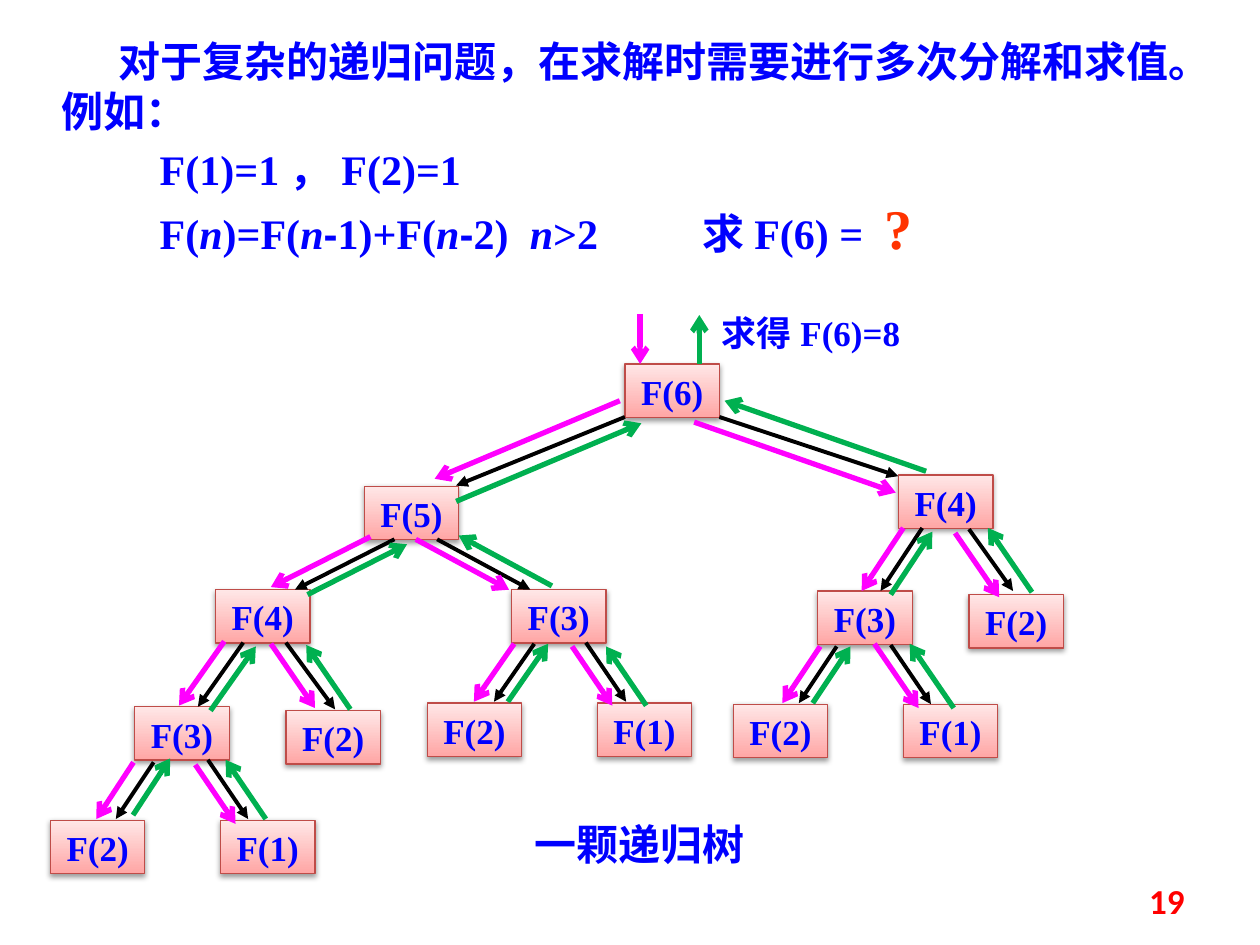
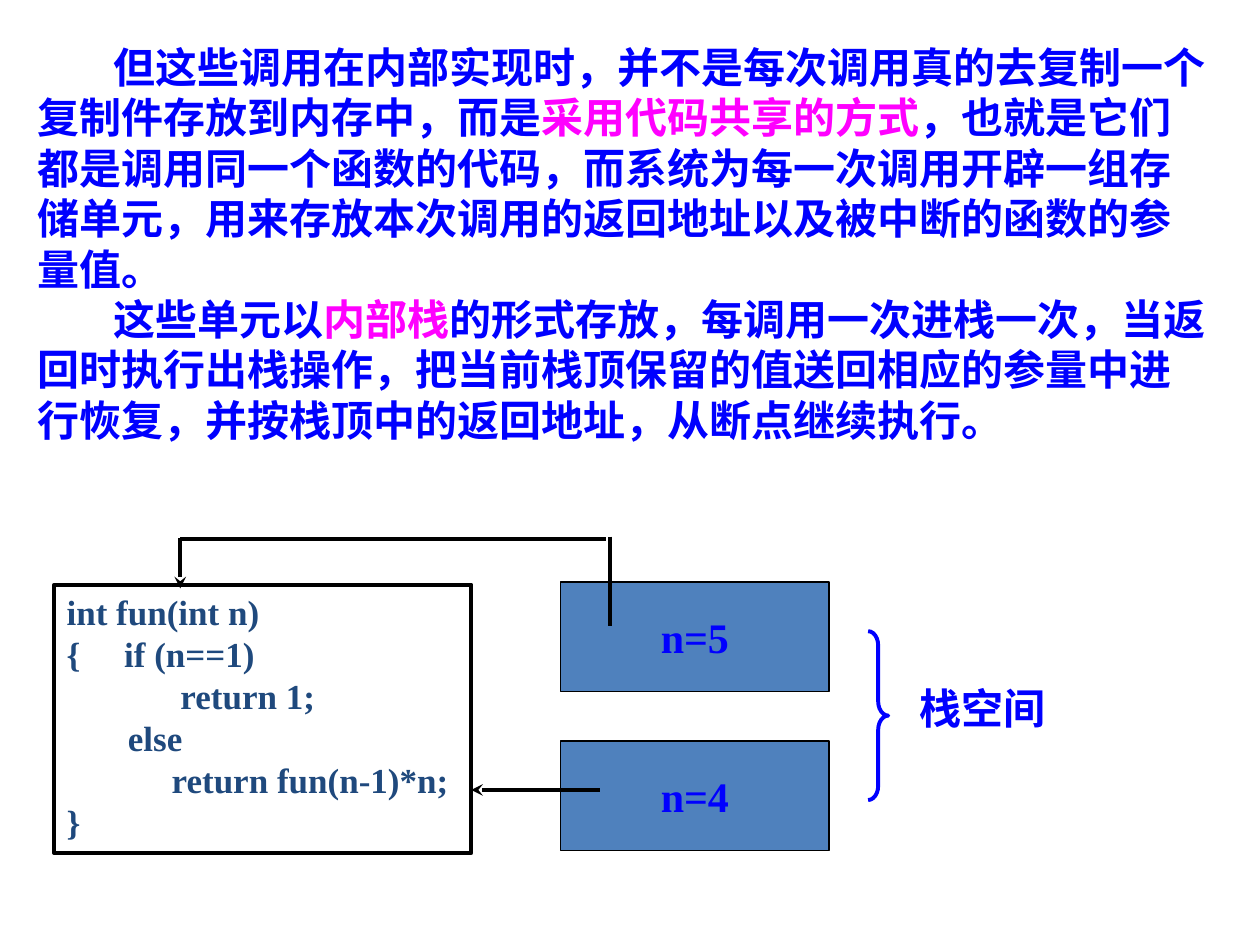
from pptx import Presentation
from pptx.dml.color import RGBColor
from pptx.enum.shapes import MSO_CONNECTOR, MSO_SHAPE as SHAPE
from pptx.enum.text import MSO_ANCHOR as ANCHOR, PP_ALIGN as ALIGN
from pptx.oxml import parse_xml
from pptx.oxml.ns import nsdecls, qn
from pptx.util import Pt

BLUE = RGBColor(0x00, 0x00, 0xFF)
NAVY = RGBColor(0x1F, 0x49, 0x7D)
STEEL = RGBColor(0x4F, 0x81, 0xBD)
MAGENTA = RGBColor(0xFF, 0x00, 0xFF)
GREEN = RGBColor(0x00, 0xB0, 0x50)
BLACK = RGBColor(0x00, 0x00, 0x00)
RED = RGBColor(0xFF, 0x00, 0x00)
ORANGE = RGBColor(0xFF, 0x33, 0x00)
ROSE = RGBColor(0xFF, 0xA6, 0xA5)
PALE_ROSE = RGBColor(0xFF, 0xE7, 0xE7)
NODE_EDGE = RGBColor(0xBF, 0x4C, 0x48)

NODE_W, NODE_H = 54, 30.5

# Label, left, top of each call in the recursion tree
NODES = [
    ("F(6)", 357.1, 208),
    ("F(5)", 208.1, 277.9), ("F(4)", 513.4, 271.4),
    ("F(4)", 123.1, 337), ("F(3)", 292.3, 337),
    ("F(3)", 467.3, 337.7), ("F(2)", 553.7, 339.8),
    ("F(3)", 77, 403.9), ("F(2)", 163.4, 406.1),
    ("F(2)", 244.1, 401.8), ("F(1)", 341.3, 401.8),
    ("F(2)", 419, 402.5), ("F(1)", 516.2, 402.5),
    ("F(2)", 28.8, 468.7), ("F(1)", 126, 468.7),
]

# Parent ends of the branch, call and return, then the step down
# of the branch and the step shared by call and return
BRANCHES = [
    ((357.1, 238.3), (354.2, 229), (366.5, 241.9), (-96.5, 39.2), (-105.8, 44.6)),
    ((411.1, 238.3), (396.7, 241.2), (414, 229), (102.2, 33.8), (115.2, 40.3)),
    ((225.4, 308.2), (211.7, 306.7), (232.6, 311), (-56.9, 28.8), (-56.9, 28.8)),
    ((249.8, 308.2), (237.6, 308.2), (262.1, 306), (53.3, 28.8), (53.3, 28.8)),
    ((139, 367.2), (128.2, 366.5), (146.2, 369.4), (-25.9, 36.7), (-25.9, 36.7)),
    ((163.4, 367.2), (154.8, 367.9), (175, 368.6), (28.1, 38.2), (25.2, 36.7)),
    ((87.8, 435.6), (76.3, 435.6), (97.2, 433.4), (-21.6, 32.4), (-21.2, 32.4)),
    ((118.8, 434.2), (111.6, 437), (128.9, 434.2), (23, 33.8), (23, 33.8)),
    ((305.3, 367.9), (293.8, 367.9), (313.2, 367.9), (-23, 33.1), (-23, 33.1)),
    ((334.8, 367.2), (326.9, 369.4), (346.3, 369.4), (23, 33.8), (23, 33.8)),
    ((527, 301.7), (516.2, 301.7), (532.8, 303.8), (-23.8, 36), (-23.8, 36)),
    ((553.7, 302.4), (545.8, 304.6), (564.5, 301.7), (25.2, 35.3), (25.2, 36.7)),
    ((478.1, 369.4), (468.7, 369.4), (486, 369.4), (-21.6, 32.4), (-21.6, 32.4)),
    ((509, 368.6), (499.7, 367.9), (519.8, 367.9), (23, 33.8), (25.2, 36.7)),
]

CODE = [
    "int fun(int n)",
    "{     if (n==1)",
    "             return 1;",
    "       else",
    "            return fun(n-1)*n;",
    "}",
]


def write(tf, paragraphs, size=24, color=BLUE, font="Times New Roman", bold=True,
          align=ALIGN.LEFT, anchor=ANCHOR.TOP, wrap=True, indents=(), tabs=()):
    """Fill a frame; a paragraph is a string or a list of strings and (text, overrides)."""
    tf.word_wrap = wrap
    tf.vertical_anchor = anchor
    for i, runs in enumerate(paragraphs):
        p = tf.add_paragraph() if i else tf.paragraphs[0]
        p.alignment = align
        pPr = p._p.get_or_add_pPr()
        if i < len(indents):
            pPr.set("indent", str(Pt(indents[i])))
        if tabs:
            stops = "".join(f'<a:tab pos="{Pt(t)}" algn="l"/>' for t in tabs)
            pPr.append(parse_xml(f'<a:tabLst {nsdecls("a")}>{stops}</a:tabLst>'))
        for run in [runs] if isinstance(runs, str) else runs:
            text, own = (run, {}) if isinstance(run, str) else run
            r = p.add_run()
            r.text = text
            r.font.size = Pt(own.get("size", size))
            r.font.name = own.get("font", font)
            r.font.bold = bold
            r.font.italic = own.get("italic")
            r.font.color.rgb = own.get("color", color)


class Deck:
    def __init__(self):
        self.prs = Presentation()
        self.prs.slide_width, self.prs.slide_height = Pt(720), Pt(540)

    def new_slide(self):
        self.s = self.prs.slides.add_slide(self.prs.slide_layouts[6])

    def text(self, x, y, w, h, paragraphs, **fmt):
        sp = self.s.shapes.add_textbox(Pt(x), Pt(y), Pt(w), Pt(h))
        write(sp.text_frame, paragraphs, **fmt)

    def shape(self, kind, x, y, w, h, fill=None, line=BLACK, width=0.75):
        sp = self.s.shapes.add_shape(kind, Pt(x), Pt(y), Pt(w), Pt(h))
        sp.shadow.inherit = False
        if fill is None:
            sp.fill.background()
        else:
            sp.fill.solid()
            sp.fill.fore_color.rgb = fill
        sp.line.color.rgb = line
        sp.line.width = Pt(width)
        return sp

    def box(self, x, y, w, h, paragraphs, fill=None, width=0.75, **fmt):
        sp = self.shape(SHAPE.RECTANGLE, x, y, w, h, fill, width=width)
        write(sp.text_frame, paragraphs, **fmt)

    def node(self, label, x, y):
        sp = self.shape(SHAPE.RECTANGLE, x, y, NODE_W, NODE_H, line=NODE_EDGE)
        sp.fill.gradient()
        sp.fill.gradient_angle = 90
        for stop, color in zip(sp.fill.gradient_stops, (ROSE, PALE_ROSE)):
            stop.color.rgb = color
        sp._element.spPr.find(qn("a:effectLst")).append(parse_xml(
            f'<a:outerShdw {nsdecls("a")} blurRad="{Pt(3.1)}" dist="{Pt(1.6)}" '
            'dir="5400000" rotWithShape="0"><a:srgbClr val="000000">'
            '<a:alpha val="38000"/></a:srgbClr></a:outerShdw>'))
        write(sp.text_frame, [label], size=20, align=ALIGN.CENTER)

    def line(self, start, end, color=BLACK, width=2.25, head=None):
        """Draw a line, with an arrowhead of the given type at its end."""
        c = self.s.shapes.add_connector(
            MSO_CONNECTOR.STRAIGHT, *(Pt(v) for v in (*start, *end)))
        c.line.color.rgb = color
        c.line.width = Pt(width)
        spPr = c._element.spPr
        if head:
            spPr.find(qn("a:ln")).append(
                parse_xml(f'<a:tailEnd {nsdecls("a")} type="{head}"/>'))
        spPr.append(parse_xml(f'<a:effectLst {nsdecls("a")}/>'))

    def call(self, start, end):
        self.line(start, end, MAGENTA, 3, "arrow")

    def give_back(self, start, end):
        self.line(start, end, GREEN, 3, "arrow")


def shift(point, step):
    return point[0] + step[0], point[1] + step[1]


def recursion_tree(deck):
    deck.new_slide()
    n = ("n", {"italic": True})
    minus = ("-", {"font": "Arial"})
    deck.text(84.2, 78.5, 486, 75, [
        "F(1)=1，F(2)=1",
        ["F(", n, ")=F(", n, minus, "1)+F(", n, minus, "2)\t", n,
         ">2\t求F(6) =\t", ("?", {"size": 32, "color": ORANGE})],
    ], tabs=(211.5, 310, 414))
    deck.text(28.1, 16.6, 669.6, 65.5, [
        "对于复杂的递归问题，在求解时需要进行多次分解和求值。", "例如：",
    ], indents=(32.6,))

    for label, x, y in NODES:
        deck.node(label, x, y)
    for branch, call, back, branch_step, step in BRANCHES:
        deck.line(branch, shift(branch, branch_step), head="triangle")
        deck.call(call, shift(call, step))
        deck.give_back(shift(back, step), back)
    deck.call((365.8, 179.3), (365.8, 208))
    deck.give_back((399.6, 208), (399.6, 180))

    deck.text(405.4, 174.2, 150.5, 31.7, ["求得F(6)=8"], size=20)
    deck.text(298.1, 464.4, 174.2, 36, ["一颗递归树"])
    deck.text(516.2, 500.4, 167.8, 28.8, ["19"], size=20, color=RED,
              font="Calibri", align=ALIGN.RIGHT, anchor=ANCHOR.MIDDLE)


def stack_space(deck):
    deck.new_slide()
    deck.text(14.4, 20.2, 683.3, 237.6, [
        ["但这些调用在内部实现时，并不是每次调用真的去复制一个复制件存放到内存中，而是",
         ("采用代码共享的方式", {"color": MAGENTA}),
         "，也就是它们都是调用同一个函数的代码，而系统为每一次调用开辟一组存储单元，"
         "用来存放本次调用的返回地址以及被中断的函数的参量值。"],
        ["这些单元以", ("内部栈", {"color": MAGENTA}),
         "的形式存放，每调用一次进栈一次，当返回时执行出栈操作，"
         "把当前栈顶保留的值送回相应的参量中进行恢复，并按栈顶中的返回地址，从断点继续执行。"],
    ], indents=(43.2, 43.2))

    brace = deck.shape(SHAPE.RIGHT_BRACE, 496.1, 360.7, 11.5, 96.5, line=BLUE, width=2.25)
    brace.adjustments[0] = 0.706
    deck.text(518.4, 386.6, 124.6, 36, ["栈空间"])
    for value, y in (("n=5", 332.6), ("n=4", 423.4)):
        deck.box(320.4, y, 153.4, 62.6, [value], fill=STEEL, align=ALIGN.CENTER,
                 anchor=ANCHOR.MIDDLE, wrap=False)
    deck.box(31, 334.1, 238.3, 153.4, CODE, width=2.25, size=20, color=NAVY)

    deck.line((348.5, 306.7), (348.5, 357.8))
    deck.line((103, 308.2), (346.3, 308.2))
    deck.line((103, 307.4), (103, 336.2), head="stealth")
    deck.line((342.7, 451.4), (269.3, 451.4), head="stealth")


def main():
    deck = Deck()
    recursion_tree(deck)
    stack_space(deck)
    deck.prs.save("out.pptx")


if __name__ == "__main__":
    main()
